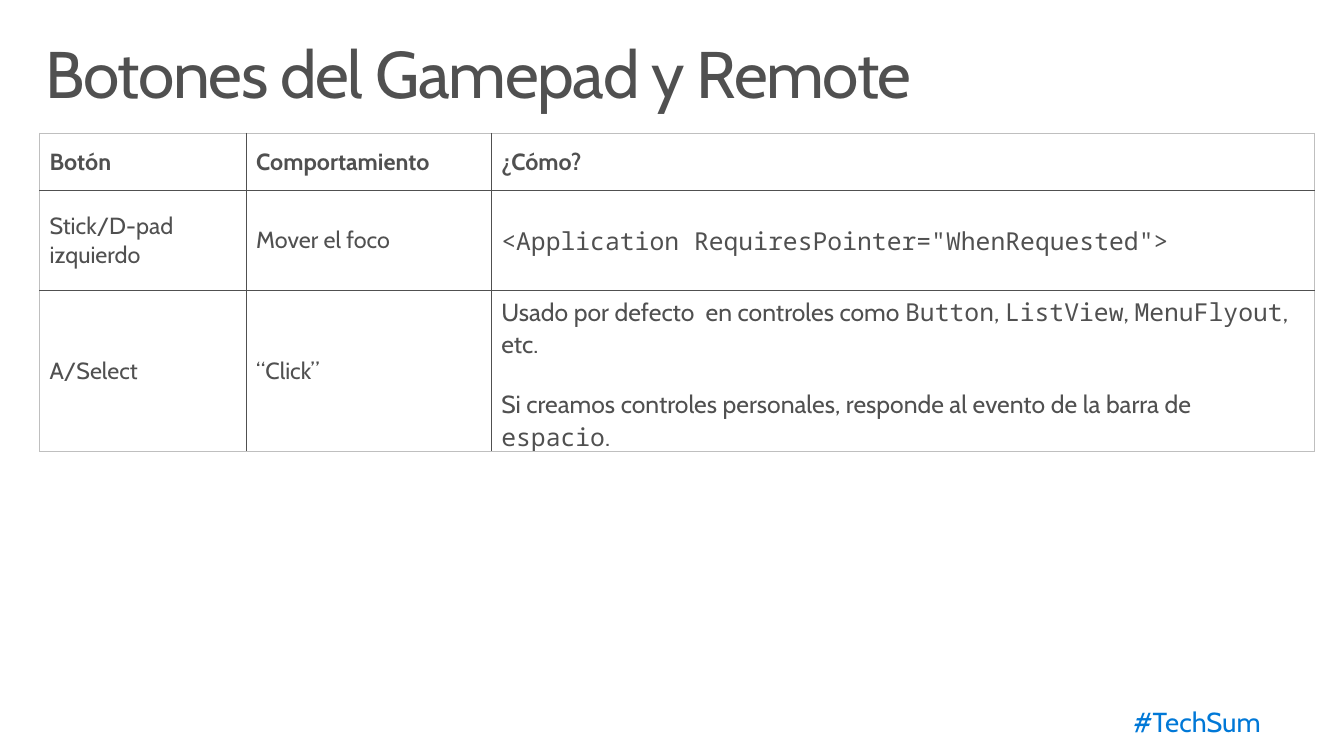
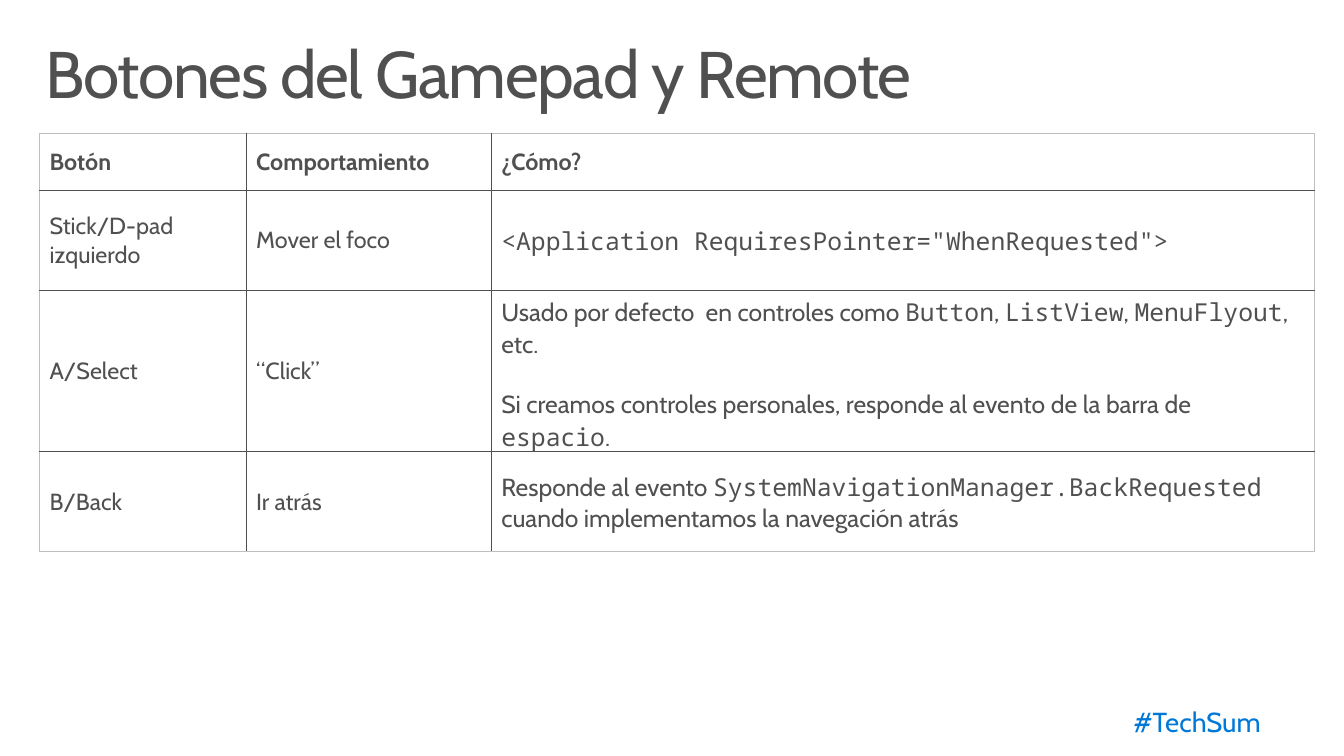
from lxml import etree
from pptx import Presentation
from pptx import util as u
from pptx.dml.color import RGBColor
from pptx.enum import text
from pptx.oxml import ns

COLORS = {"ink": "505050", "edge": "BFBFBF", "accent": "0078D7", "paper": "FFFFFF"}
BODY_FONT, CODE_FONT = "Cabin", "Noto Sans Mono"


def write(frame, content, size, color="ink", bold=False, align=text.PP_ALIGN.LEFT,
          line_spacing=1.0, gap=0, tracking=0):
    frame.word_wrap = True
    for i, line in enumerate(content.split("\n")):
        paragraph = frame.add_paragraph() if i else frame.paragraphs[0]
        paragraph.alignment = align
        paragraph.line_spacing = line_spacing
        if i:
            paragraph.space_before = u.Pt(gap)
        for j, part in enumerate(line.split("`")):
            if not part:
                continue
            run = paragraph.add_run()
            run.text = part
            run.font.name = CODE_FONT if j % 2 else BODY_FONT
            run.font.size = u.Pt(size)
            run.font.bold = bold
            run.font.color.rgb = RGBColor.from_string(COLORS[color])
            if tracking:
                run.font._element.set("spc", str(tracking * 100))


def set_borders(cell, sides):
    properties = cell._tc.get_or_add_tcPr()
    for i, (side, color) in enumerate(sides.items()):
        line = etree.Element(ns.qn(f"a:ln{side}"), w=str(u.Pt(1)))
        fill = etree.SubElement(line, ns.qn("a:solidFill"))
        etree.SubElement(fill, ns.qn("a:srgbClr"), val=COLORS[color])
        properties.insert(i, line)


column_widths = [5.31, 6.3, 21.16]
row_heights = [1.47, 2.57, 4.14, 2.57]
buttons = [
    ("Botón", "Comportamiento", "¿Cómo?"),
    ("Stick/D-pad izquierdo", "Mover el foco",
     '`<Application RequiresPointer="WhenRequested">`'),
    ("A/Select", "“Click”",
     "Usado por defecto  en controles como `Button`, `ListView`, `MenuFlyout`, etc.\n"
     "Si creamos controles personales, responde al evento de la barra de `espacio`."),
    ("B/Back", "Ir atrás",
     "Responde al evento `SystemNavigationManager.BackRequested `"
     "cuando implementamos la navegación atrás"),
]

deck = Presentation()
deck.slide_width, deck.slide_height = u.Cm(34.54), u.Cm(19.43)

for row_count in (3, 4):
    slide = deck.slides.add_slide(deck.slide_layouts[6])
    slide.background.fill.solid()
    slide.background.fill.fore_color.rgb = RGBColor.from_string(COLORS["paper"])

    title = slide.shapes.add_textbox(u.Cm(0.76), u.Cm(0.81), u.Cm(33.02), u.Cm(2.54)).text_frame
    title.margin_left = title.margin_right = u.Cm(0.41)
    title.margin_top = title.margin_bottom = u.Cm(0.25)
    write(title, "Botones del Gamepad y Remote", 48, line_spacing=0.9, tracking=-1)

    heights = row_heights[:row_count]
    table = slide.shapes.add_table(
        row_count, len(column_widths), u.Cm(1.02), u.Cm(3.43),
        u.Cm(sum(column_widths)), u.Cm(sum(heights))).table
    table.first_row = table.horz_banding = False
    for column, width in zip(table.columns, column_widths):
        column.width = u.Cm(width)
    last_row, last_column = row_count - 1, len(column_widths) - 1
    for r, height in enumerate(heights):
        table.rows[r].height = u.Cm(height)
        for c, content in enumerate(buttons[r]):
            cell = table.cell(r, c)
            cell.vertical_anchor = text.MSO_ANCHOR.MIDDLE
            cell.fill.background()
            set_borders(cell, {
                "L": "ink" if c else "edge",
                "R": "ink" if c < last_column else "edge",
                "T": "ink" if r else "edge",
                "B": "ink" if r < last_row else "edge",
            })
            write(cell.text_frame, content, 18 if r and c == last_column else 17,
                  bold=r == 0, gap=22)

    hashtag = slide.shapes.add_textbox(u.Cm(22.78), u.Cm(17.83), u.Cm(10.13), u.Cm(1.6)).text_frame
    hashtag.margin_left = hashtag.margin_right = u.Cm(0.51)
    hashtag.margin_top = hashtag.margin_bottom = u.Cm(0.41)
    write(hashtag, "#TechSum", 20, color="accent", align=text.PP_ALIGN.RIGHT, line_spacing=0.9)

deck.save("out.pptx")
